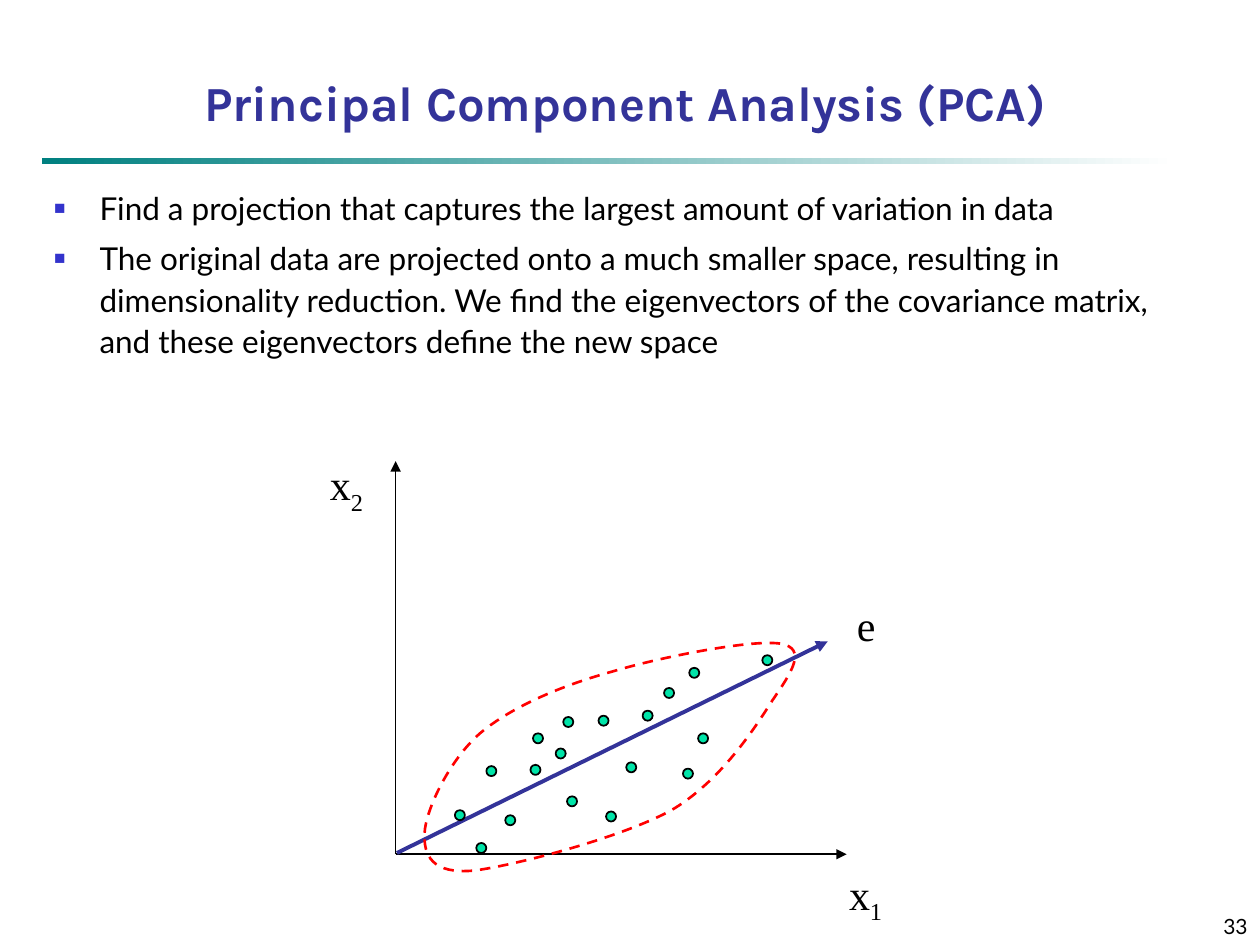
from dataclasses import dataclass
from lxml.etree import SubElement as Sub
from pptx import Presentation
from pptx.dml.color import RGBColor as RGB
from pptx.enum.dml import MSO_LINE as Dash
from pptx.enum.shapes import MSO_CONNECTOR as Conn, MSO_SHAPE as Kind
from pptx.enum.text import MSO_ANCHOR as Anchor, MSO_AUTO_SIZE as Fit, PP_ALIGN as Align
from pptx.oxml.ns import qn
from pptx.util import Inches, Pt


@dataclass(frozen=True)
class Theme:
    ink: str = "000000"
    paper: str = "FFFFFF"
    teal: str = "008080"
    navy: str = "333399"
    mark: str = "3333CC"
    mint: str = "00E4A8"
    red: str = "FF0000"
    head: str = "Karla"
    text: str = "Lato"
    math: str = "Times New Roman"
    large: int = 28
    label: int = 24
    body: int = 18
    small: int = 12


def style(para, face, size, tint, align):
    para.alignment = align
    para.font.name, para.font.size = face, Pt(size)
    para.font.color.rgb = RGB.from_string(tint)


def place(shape, *box):
    shape.left, shape.top, shape.width, shape.height = (n * unit for n in box)


theme = Theme()
deck = Presentation()
deck.slide_width, deck.slide_height = Inches(10), Inches(7.5)
unit = deck.slide_width // 1000
slide = deck.slides.add_slide(deck.slide_layouts[1])
title, body = slide.placeholders

place(title, 17, 17, 958, 92)
frame = title.text_frame
frame.text = "Principal Component Analysis (PCA)"
frame.vertical_anchor, frame.auto_size = Anchor.BOTTOM, Fit.NONE
style(frame.paragraphs[0], theme.head, theme.large, theme.navy, Align.CENTER)
frame.paragraphs[0].font.bold = True

rule = slide.shapes.add_shape(Kind.RECTANGLE, 33 * unit, 125 * unit, 900 * unit, 5 * unit)
rule.shadow.inherit = False
rule.line.fill.background()
rule.fill.gradient()
rule.fill.gradient_angle = 0
for stop, tint in zip(rule.fill.gradient_stops, (theme.teal, theme.paper)):
    stop.color.rgb = RGB.from_string(tint)

place(body, 33, 142, 917, 175)
frame = body.text_frame
frame.auto_size = Fit.NONE
frame.text = "\n".join((
    "Find a projection that captures the largest amount of variation in data",
    "The original data are projected onto a much smaller space, resulting in "
    "dimensionality reduction. We find the eigenvectors of the covariance matrix, "
    "and these eigenvectors define the new space",
))
for i, para in enumerate(frame.paragraphs):
    props = para._p.get_or_add_pPr()
    props.set("marL", str(36 * unit))
    props.set("indent", str(-36 * unit))
    Sub(Sub(props, qn("a:buClr")), qn("a:srgbClr"), val=theme.mark)
    Sub(props, qn("a:buSzPct"), val="60000")
    Sub(props, qn("a:buChar"), char="■")
    para.line_spacing, para.space_before = 1.1, Pt(5 if i else 0)
    style(para, theme.text, theme.body, theme.ink, Align.LEFT)

page = slide.shapes.add_textbox(0, 0, 0, 0)
place(page, 792, 708, 208, 42)
frame = page.text_frame
frame.word_wrap, frame.vertical_anchor = True, Anchor.BOTTOM
frame.text = "33"
style(frame.paragraphs[0], theme.text, theme.small, theme.ink, Align.RIGHT)

plot = slide.shapes.add_group_shape().shapes

for start, end, tint, width in (
    ((314, 678), (314, 366), theme.ink, 1),
    ((314, 678), (672, 678), theme.ink, 1),
    ((315, 677), (657, 509), theme.navy, 2.25),
):
    arrow = plot.add_connector(Conn.STRAIGHT, *(n * unit for n in start + end))
    arrow.line.color.rgb, arrow.line.width = RGB.from_string(tint), Pt(width)
    Sub(arrow.line._get_or_add_ln(), qn("a:tailEnd"), type="triangle")
    Sub(arrow._element.spPr, qn("a:effectLst"))

for x, y in (
    (386, 608), (423, 582), (361, 643), (441, 594), (421, 607), (497, 605),
    (481, 644), (450, 632), (475, 568), (554, 582), (605, 520), (401, 647),
    (510, 564), (547, 530), (447, 569), (527, 546), (542, 610), (378, 669),
):
    dot = plot.add_shape(Kind.OVAL, x * unit, y * unit, 8 * unit, 8 * unit)
    dot.shadow.inherit = False
    dot.fill.solid()
    dot.fill.fore_color.rgb = RGB.from_string(theme.mint)
    dot.line.color.rgb, dot.line.width = RGB.from_string(theme.ink), Pt(1)

pen = plot.build_freeform(337, 661, scale=unit)
pen.add_line_segments((
    (338, 643), (356, 604), (381, 582),
    (406, 561), (446, 544), (486, 533),
    (526, 521), (599, 507), (620, 511),
    (641, 515), (628, 534), (613, 556),
    (599, 578), (572, 620), (533, 643),
    (493, 665), (408, 687), (376, 691),
    (343, 694), (336, 679), (337, 661),
), close=True)
cloud = pen.convert_to_shape()
lines = list(cloud._element.iter(qn("a:lnTo")))
for i in range(0, len(lines), 3):
    curve = lines[i].makeelement(qn("a:cubicBezTo"))
    lines[i].addprevious(curve)
    for line in lines[i:i + 3]:
        curve.append(line[0])
        line.getparent().remove(line)
cloud.shadow.inherit = False
cloud.fill.background()
cloud.line.color.rgb, cloud.line.width = RGB.from_string(theme.red), Pt(1.5)
cloud.line.dash_style = Dash.DASH

for name, sub, box in (
    ("x", "2", (252, 359, 46, 56)),
    ("x", "1", (664, 684, 46, 56)),
    ("e", "", (670, 471, 35, 50)),
):
    label = plot.add_textbox(0, 0, 0, 0)
    place(label, *box)
    frame = label.text_frame
    frame.word_wrap, frame.auto_size = False, Fit.SHAPE_TO_FIT_TEXT
    frame.vertical_anchor = Anchor.MIDDLE
    para = frame.paragraphs[0]
    para.add_run().text = name
    if sub:
        low = para.add_run()
        low.text = sub
        low._r.get_or_add_rPr().set("baseline", "-25000")
    style(para, theme.math, theme.label, theme.ink, Align.CENTER)

deck.save("out.pptx")
